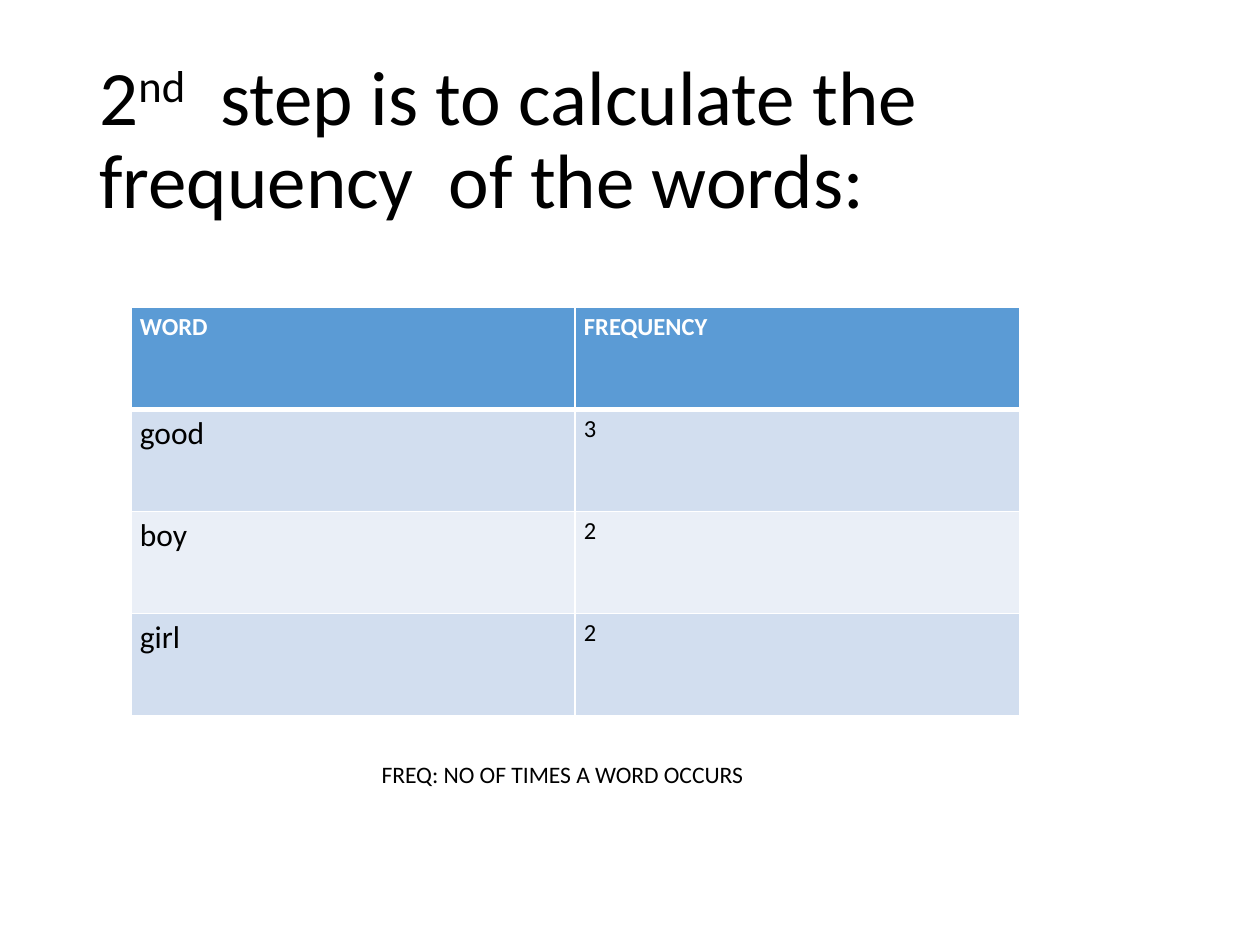
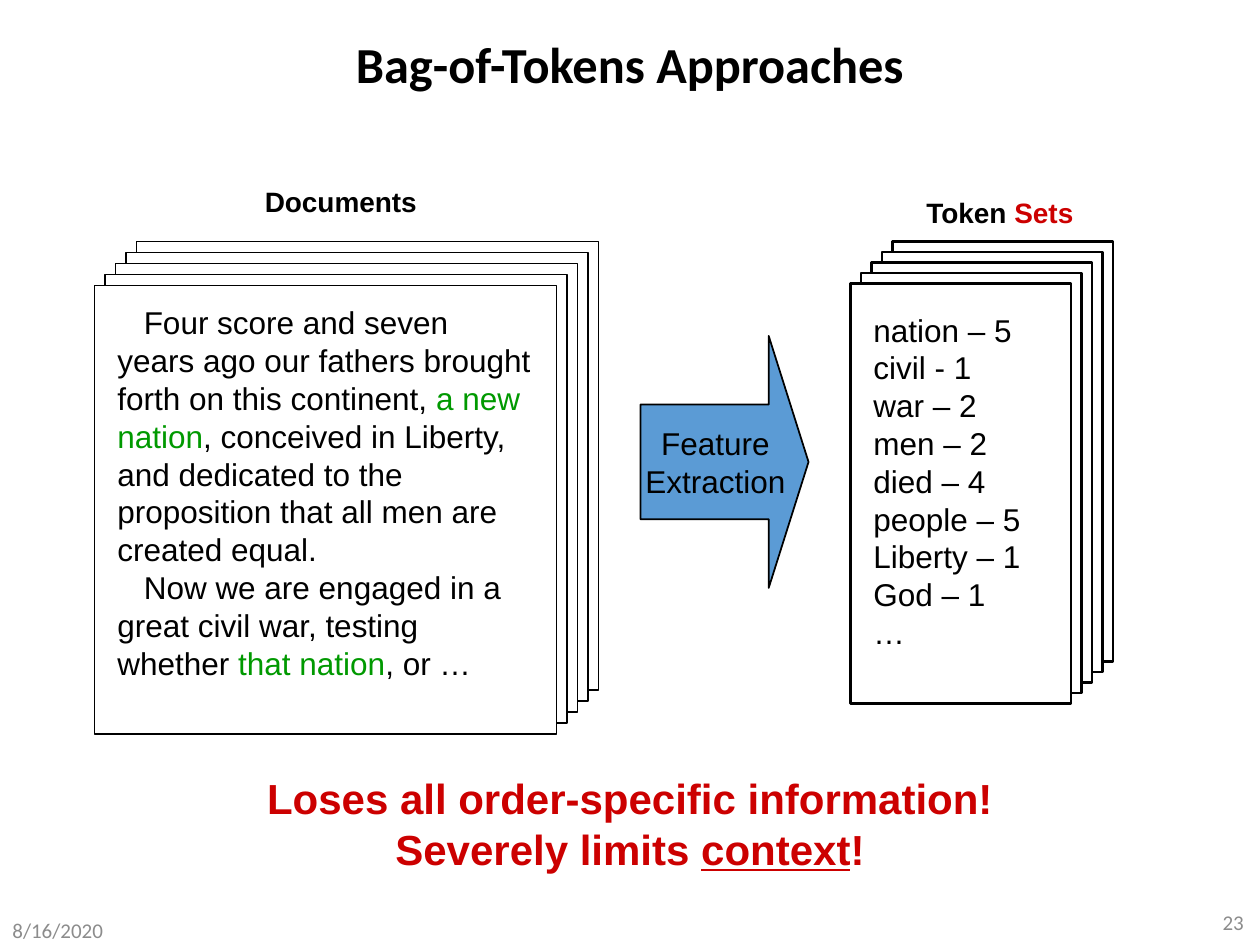
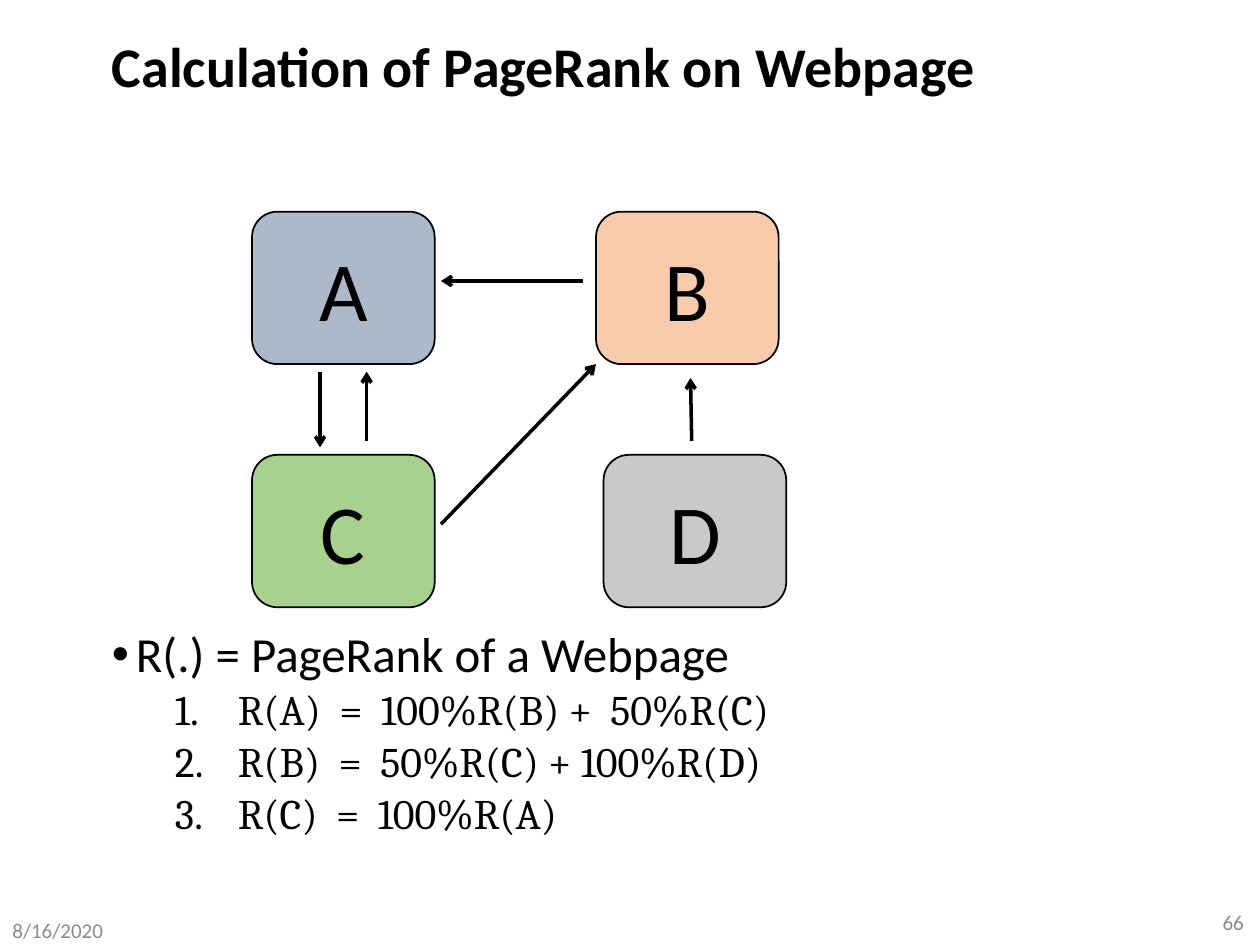
import dataclasses
import typing

import lxml.etree
import pptx
import pptx.dml.color
import pptx.enum.shapes
import pptx.enum.text
import pptx.oxml
import pptx.oxml.ns
import pptx.util

ALIGN = pptx.enum.text.PP_ALIGN
ANCHOR = pptx.enum.text.MSO_ANCHOR
SHAPE = pptx.enum.shapes.MSO_SHAPE
COLUMNS, ROWS = 120, 90


@dataclasses.dataclass(frozen=True)
class Theme:
    black: str = "000000"
    white: str = "FFFFFF"
    grey: str = "8C8C8C"
    blue: str = "5B9BD5"
    band_dark: str = "D2DEEF"
    band_light: str = "EAEFF7"
    green: str = "009900"
    red: str = "CC0000"
    node_blue: str = "ADB9CA"
    node_orange: str = "F8CBAD"
    node_green: str = "A9D18E"
    node_grey: str = "C9C9C9"
    sans: str = "Calibri"
    plain: str = "Arial"
    serif: str = "Cambria"
    title: float = 44
    heading: float = 32
    small_heading: float = 28.8
    node: float = 48
    lead: float = 28
    strong: float = 24
    body: float = 18
    label: float = 16
    cell: float = 14
    note: float = 13.5
    footer: float = 12


THEME = Theme()


class Place(typing.NamedTuple):
    left: float
    top: float
    width: float
    height: float

    def shifted(self, across: float, down: float) -> "Place":
        return Place(self.left + across, self.top + down, self.width, self.height)


@dataclasses.dataclass(frozen=True)
class Style:
    size: float
    font: str = THEME.sans
    color: str = THEME.black
    bold: bool = False


@dataclasses.dataclass(frozen=True)
class Span:
    text: str
    color: str | None = None
    underline: bool = False
    raised: bool = False


@dataclasses.dataclass(frozen=True)
class Para:
    spans: tuple[Span, ...]
    style: Style
    formats: dict = dataclasses.field(default_factory=dict)
    margin: float = 0
    indent: float = 0
    bullet: str = ""


@dataclasses.dataclass(frozen=True)
class Stack:
    back: Place
    drop: float
    line: float
    text: Place
    paras: list[Para]


class Node(typing.NamedTuple):
    name: str
    left: float
    top: float
    color: str


class Link(typing.NamedTuple):
    start: tuple[float, float]
    end: tuple[float, float]


def rgb(color: str) -> pptx.dml.color.RGBColor:
    return pptx.dml.color.RGBColor.from_string(color)


def across(columns: float) -> int:
    return round(pptx.util.Inches(10) * columns / COLUMNS)


def down(rows: float) -> int:
    return round(pptx.util.Inches(7.5) * rows / ROWS)


def area(place: Place) -> tuple[int, int, int, int]:
    return across(place.left), down(place.top), across(place.width), down(place.height)


def set_all(target, formats: dict) -> None:
    for name, value in formats.items():
        setattr(target, name, value)


def add_child(parent, tag: str, **attributes: str):
    child = lxml.etree.SubElement(parent, pptx.oxml.ns.qn(tag))
    for name, value in attributes.items():
        child.set(name, value)
    return child


def line_of(text: str, style: Style, **formats) -> Para:
    return Para((Span(text),), style, formats)


def write(frame, paras: list[Para], **formats) -> None:
    set_all(frame, {"word_wrap": True, **formats})
    for index, item in enumerate(paras):
        para = frame.paragraphs[0] if index == 0 else frame.add_paragraph()
        set_all(para, item.formats)
        properties = para._p.get_or_add_pPr()
        if item.margin or item.indent:
            properties.set("marL", str(pptx.util.Inches(item.margin)))
            properties.set("indent", str(pptx.util.Inches(item.indent)))
        if item.bullet == "number":
            add_child(properties, "a:buAutoNum", type="arabicPeriod")
        elif item.bullet:
            add_child(properties, "a:buFont", typeface=THEME.plain)
            add_child(properties, "a:buChar", char=item.bullet)
        for part in item.spans:
            span = para.add_run()
            span.text = part.text
            set_all(span.font, {
                "name": item.style.font,
                "size": pptx.util.Pt(item.style.size),
                "bold": item.style.bold,
                "underline": part.underline,
            })
            span.font.color.rgb = rgb(part.color or item.style.color)
            if part.raised:
                span._r.get_or_add_rPr().set("baseline", "30000")


def add_text(page, place: Place, paras: list[Para], **formats) -> None:
    box = page.shapes.add_textbox(*area(place))
    write(box.text_frame, paras, **formats)


def add_title(page, place: Place, spans: tuple[Span, ...], style: Style, align=ALIGN.LEFT) -> None:
    formats = {"alignment": align, "line_spacing": 0.9}
    add_text(page, place, [Para(spans, style, formats)], vertical_anchor=ANCHOR.MIDDLE)


def add_footer(page, number: str) -> None:
    style = Style(THEME.footer, color=THEME.grey)
    for place, text, align in (
        (Place(0, 87.24, 27, 2.76), "8/16/2020", ALIGN.LEFT),
        (Place(92.64, 86.4, 27, 2.76), number, ALIGN.RIGHT),
    ):
        add_text(page, place, [line_of(text, style, alignment=align)], vertical_anchor=ANCHOR.MIDDLE)


def add_box(page, kind, place: Place, fill: str, width: float = 1):
    box = page.shapes.add_shape(kind, *area(place))
    box.shadow.inherit = False
    box.fill.solid()
    box.fill.fore_color.rgb = rgb(fill)
    box.line.color.rgb = rgb(THEME.black)
    box.line.width = pptx.util.Pt(width)
    return box


def add_stack(page, stack: Stack) -> None:
    for sheet in range(5):
        place = stack.back.shifted(-sheet, sheet * stack.drop)
        add_box(page, SHAPE.RECTANGLE, place, THEME.white, stack.line)
    add_text(page, stack.text, stack.paras)


def add_arrow(page, link: Link) -> None:
    arrow = page.shapes.add_connector(
        pptx.enum.shapes.MSO_CONNECTOR.STRAIGHT,
        across(link.start[0]), down(link.start[1]),
        across(link.end[0]), down(link.end[1]),
    )
    arrow.line.color.rgb = rgb(THEME.black)
    arrow.line.width = pptx.util.Pt(2)
    add_child(arrow.line._get_or_add_ln(), "a:tailEnd", type="arrow")
    add_child(arrow._element.spPr, "a:effectLst")


def add_border(cell, side: str, width: float) -> None:
    border = add_child(cell._tc.get_or_add_tcPr(), f"a:ln{side}", w=str(pptx.util.Pt(width)))
    add_child(add_child(border, "a:solidFill"), "a:srgbClr", val=THEME.white)


def add_word_table(page, place: Place, rows: list[tuple[str, str]]) -> None:
    table = page.shapes.add_table(len(rows), len(rows[0]), *area(place)).table
    heading = Style(THEME.cell, color=THEME.white, bold=True)
    styles = (Style(THEME.body), Style(THEME.cell))
    for row, texts in enumerate(rows):
        fill = THEME.blue if row == 0 else (THEME.band_light, THEME.band_dark)[row % 2]
        for column, text in enumerate(texts):
            cell = table.cell(row, column)
            set_all(cell, {
                "margin_left": pptx.util.Inches(0.07),
                "margin_right": pptx.util.Inches(0.07),
                "margin_top": pptx.util.Inches(0.04),
                "margin_bottom": pptx.util.Inches(0.04),
            })
            for side in "LRTB":
                thick = (row, side) in ((0, "B"), (1, "T"))
                add_border(cell, side, 3 if thick else 1)
            cell.fill.solid()
            cell.fill.fore_color.rgb = rgb(fill)
            write(cell.text_frame, [line_of(text, heading if row == 0 else styles[column])])


def build_frequency(page) -> None:
    add_title(
        page,
        Place(8.28, 4.8, 103.44, 17.4),
        (Span("2"), Span("nd", raised=True), Span("  step is to calculate the frequency  of the words:")),
        Style(THEME.title),
    )
    add_word_table(
        page,
        Place(12.48, 29.28, 84.6, 38.88),
        [("WORD", "FREQUENCY"), ("good", "3"), ("boy", "2"), ("girl", "2")],
    )
    add_text(
        page,
        Place(35.16, 71.76, 46.2, 3.96),
        [line_of("FREQ: NO OF TIMES A WORD OCCURS", Style(THEME.note))],
    )


def build_tokens(page) -> None:
    body = Style(THEME.body, THEME.plain)
    label = Style(THEME.label, THEME.plain, bold=True)
    warning = Style(THEME.strong, THEME.plain, THEME.red, True)
    centred = {"alignment": ALIGN.CENTER}
    add_title(
        page,
        Place(8.28, 3, 103.44, 6.72),
        (Span("Bag-of-Tokens Approaches"),),
        Style(THEME.small_heading, bold=True),
        ALIGN.CENTER,
    )
    add_footer(page, "23")
    speech = [
        (
            Span("Four score and seven years ago our fathers brought forth on this continent, "),
            Span("a new nation", THEME.green),
            Span(", conceived in Liberty, and dedicated to the proposition that all men are created equal."),
        ),
        (
            Span("Now we are engaged in a great civil war, testing whether "),
            Span("that nation", THEME.green),
            Span(", or …"),
        ),
    ]
    tokens = [
        "nation – 5", "civil - 1", "war – 2", "men – 2", "died – 4",
        "people – 5", "Liberty – 1", "God – 1", "…",
    ]
    for stack in (
        Stack(Place(13, 23, 44, 42.7), 1.05, 1, Place(10, 28.3, 42, 39.84),
              [Para(spans, body, indent=0.21) for spans in speech]),
        Stack(Place(85, 23, 21, 40), 1, 1.25, Place(82, 29, 19, 33.6),
              [line_of(token, body) for token in tokens]),
    ):
        add_stack(page, stack)
    arrow = add_box(page, SHAPE.RIGHT_ARROW, Place(61, 32, 16, 24), THEME.blue)
    arrow.adjustments[0] = 0.455
    arrow.adjustments[1] = 0.237
    write(
        arrow.text_frame,
        [line_of(text, body, **centred) for text in ("Feature", "Extraction")],
        word_wrap=False,
        vertical_anchor=ANCHOR.MIDDLE,
    )
    add_text(page, Place(0, 73, 120, 10.8), [
        line_of("Loses all order-specific information!", warning, **centred),
        Para((Span("Severely limits "), Span("context", underline=True), Span("!")), warning, centred),
    ])
    for place, spans in (
        (Place(24, 17, 16.92, 4.44), (Span("Documents"),)),
        (Place(86.88, 18, 16.68, 4.44), (Span("Token "), Span("Sets", THEME.red))),
    ):
        add_text(page, place, [Para(spans, label, centred)], word_wrap=False)


def build_page_rank(page) -> None:
    add_title(
        page,
        Place(9.48, 3.36, 103.44, 6.48),
        (Span("Calculation of PageRank on Webpage"),),
        Style(THEME.heading, bold=True),
    )
    for node in (
        Node("A", 24, 20.16, THEME.node_blue),
        Node("C", 24, 43.32, THEME.node_green),
        Node("D", 57.48, 43.32, THEME.node_grey),
        Node("B", 56.76, 20.16, THEME.node_orange),
    ):
        box = add_box(page, SHAPE.ROUNDED_RECTANGLE, Place(node.left, node.top, 17.4, 14.52), node.color)
        write(
            box.text_frame,
            [line_of(node.name, Style(THEME.node), alignment=ALIGN.CENTER)],
            vertical_anchor=ANCHOR.MIDDLE,
        )
    for link in (
        Link((30.48, 35.4), (30.48, 42.6)),
        Link((34.92, 42), (34.92, 35.4)),
        Link((42, 49.92), (56.76, 34.68)),
        Link((55.56, 26.76), (42, 26.76)),
        Link((65.88, 42), (65.76, 36)),
    ):
        add_arrow(page, link)
    lead = {"line_spacing": 0.9, "space_before": pptx.util.Pt(7.5)}
    rule = {"line_spacing": 0.9, "space_before": pptx.util.Pt(3.8), "level": 1}
    equations = (
        "R(A)  =  100%R(B) +  50%R(C)",
        "R(B)  =  50%R(C) + 100%R(D)",
        "R(C)  =  100%R(A)",
    )
    paras = [Para((Span("R(.) = PageRank of a Webpage"),), Style(THEME.lead), lead, 0.19, -0.19, "•")]
    paras += [
        Para((Span(equation),), Style(THEME.strong, THEME.serif), rule, 1, -0.5, "number")
        for equation in equations
    ]
    add_text(page, Place(9.48, 59.4, 103.44, 23.04), paras)
    add_footer(page, "66")


def main() -> None:
    deck = pptx.Presentation()
    set_all(deck, {"slide_width": across(COLUMNS), "slide_height": down(ROWS)})
    for build in (build_frequency, build_tokens, build_page_rank):
        build(deck.slides.add_slide(deck.slide_layouts[6]))
    deck.save("out.pptx")


if __name__ == "__main__":
    main()
